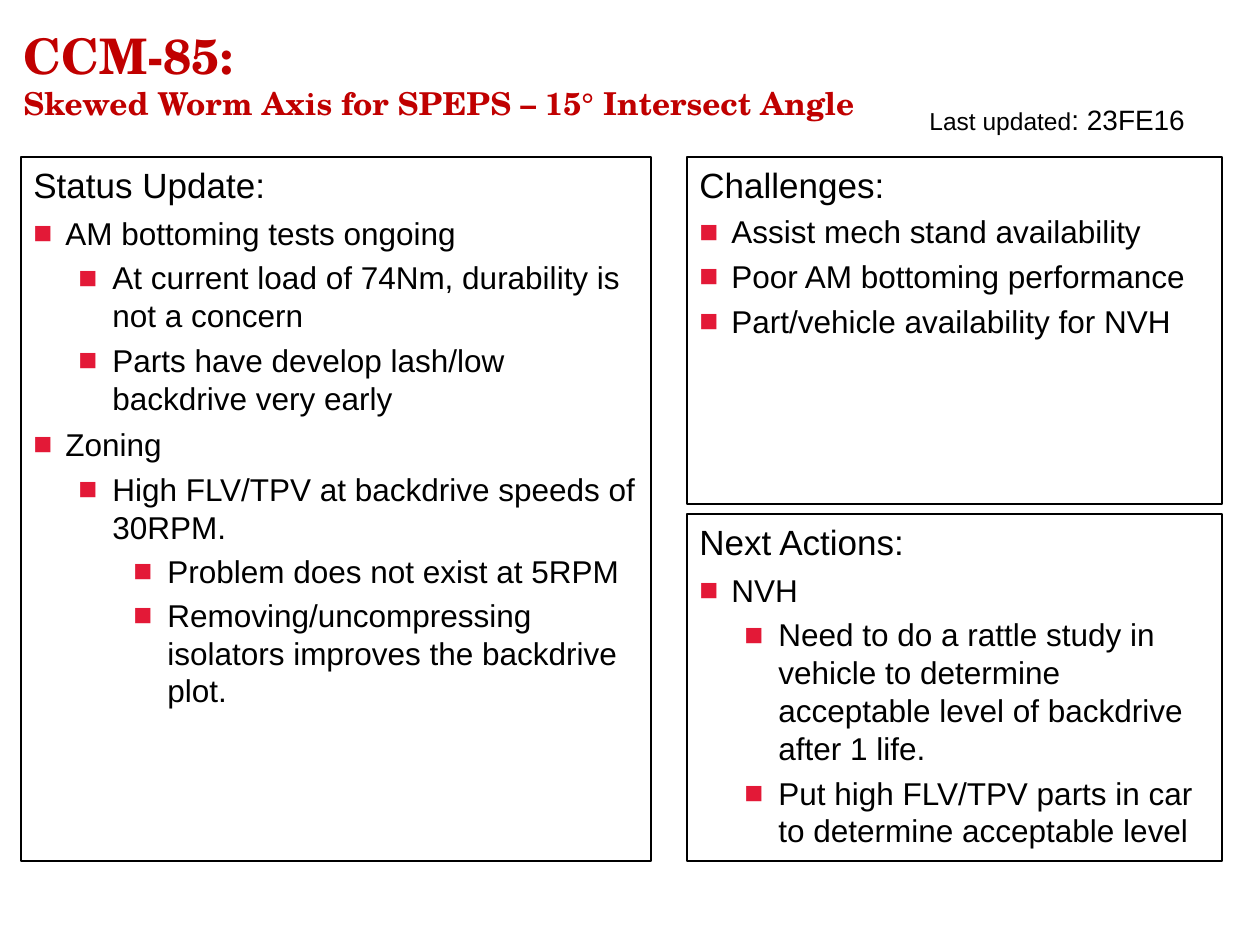
import pptx
import pptx.util
import pptx.dml.color
import pptx.enum.shapes
import pptx.enum.text
import pptx.oxml.ns
from lxml import etree

PX = 914400 / 126  # EMU in one px
BLACK, RED, BULLET = "000000", "C00000", "E31937"
HANG = 34
INDENTS = (32, 79, 134)  # text indent of each level

# Content: heading, box (left, top, width, height), space before each level, items (level, text)
PANELS = [
    ("Status Update:", (21, 157, 630, 704), (4.8, 4, 3.6), [
        (0, "AM bottoming tests ongoing"),
        (1, "At current load of 74Nm, durability is not a concern"),
        (1, "Parts have develop lash/low backdrive very early"),
        (0, "Zoning"),
        (1, "High FLV/TPV at backdrive speeds of 30RPM."),
        (2, "Problem does not exist at 5RPM"),
        (2, "Removing/uncompressing isolators improves the backdrive plot."),
    ]),
    ("Next Actions:", (687, 514, 535, 347), (4.8, 4), [
        (0, "NVH"),
        (1, "Need to do a rattle study in vehicle to determine acceptable "
            "level of backdrive after 1 life."),
        (1, "Put high FLV/TPV parts in car to determine acceptable level"),
    ]),
    ("Challenges:", (687, 157, 535, 347), (4,), [
        (0, "Assist mech stand availability"),
        (0, "Poor AM bottoming performance"),
        (0, "Part/vehicle availability for NVH"),
    ]),
]
TITLE = ("CCM-85:", "Skewed Worm Axis for SPEPS – 15° Intersect Angle")
UPDATED = ("Last updated", ": 23FE16")


def emu(px):
    return pptx.util.Emu(round(px * PX))


def rgb(color):
    return pptx.dml.color.RGBColor.from_string(color)


def add_text(p, text, size=18, font="Arial", color=BLACK, bold=False):
    r = p.add_run()
    r.text = text
    r.font.size = pptx.util.Pt(size)
    r.font.name = font
    r.font.bold = bold
    r.font.color.rgb = rgb(color)


def set_bullet(p, level):
    p.level = level
    pPr = p._p.get_or_add_pPr()
    pPr.set("marL", str(emu(INDENTS[level])))
    pPr.set("indent", str(emu(-HANG)))
    qn = pptx.oxml.ns.qn
    clr = etree.SubElement(pPr, qn("a:buClr"))
    etree.SubElement(clr, qn("a:srgbClr"), val=BULLET)
    etree.SubElement(pPr, qn("a:buFont"), typeface="Arial")
    etree.SubElement(pPr, qn("a:buChar"), char="■")


def add_panel(slide, heading, box, spacing, items):
    sp = slide.shapes.add_shape(pptx.enum.shapes.MSO_SHAPE.RECTANGLE, *map(emu, box))
    sp.shadow.inherit = False
    sp.fill.background()
    sp.line.color.rgb = rgb(BLACK)
    sp.line.width = pptx.util.Pt(0.75)
    tf = sp.text_frame
    tf.word_wrap = True
    tf.vertical_anchor = pptx.enum.text.MSO_ANCHOR.TOP
    p = tf.paragraphs[0]
    p.alignment = pptx.enum.text.PP_ALIGN.LEFT
    add_text(p, heading, size=20)
    for level, text in items:
        p = tf.add_paragraph()
        p.alignment = pptx.enum.text.PP_ALIGN.LEFT
        p.space_before = pptx.util.Pt(spacing[level])
        set_bullet(p, level)
        add_text(p, text)


def add_box(slide, box, anchor):
    tf = slide.shapes.add_textbox(*map(emu, box)).text_frame
    tf.word_wrap = True
    tf.vertical_anchor = anchor
    return tf.paragraphs[0]


def main():
    prs = pptx.Presentation()
    prs.slide_width, prs.slide_height = emu(1260), emu(945)
    slide = prs.slides.add_slide(prs.slide_layouts[6])

    # Bordered panels
    for panel in PANELS:
        add_panel(slide, *panel)

    # Title
    p = add_box(slide, (11, 11, 903, 126), pptx.enum.text.MSO_ANCHOR.MIDDLE)
    style = dict(font="TeX Gyre Schola", color=RED, bold=True)
    add_text(p, TITLE[0], size=28, **style)
    p.add_line_break()
    add_text(p, TITLE[1], size=18, **style)

    # Date of last update
    p = add_box(slide, (917, 96, 311, 50), pptx.enum.text.MSO_ANCHOR.TOP)
    add_text(p, UPDATED[0], size=14)
    add_text(p, UPDATED[1], size=16)

    prs.save("out.pptx")


if __name__ == "__main__":
    main()
